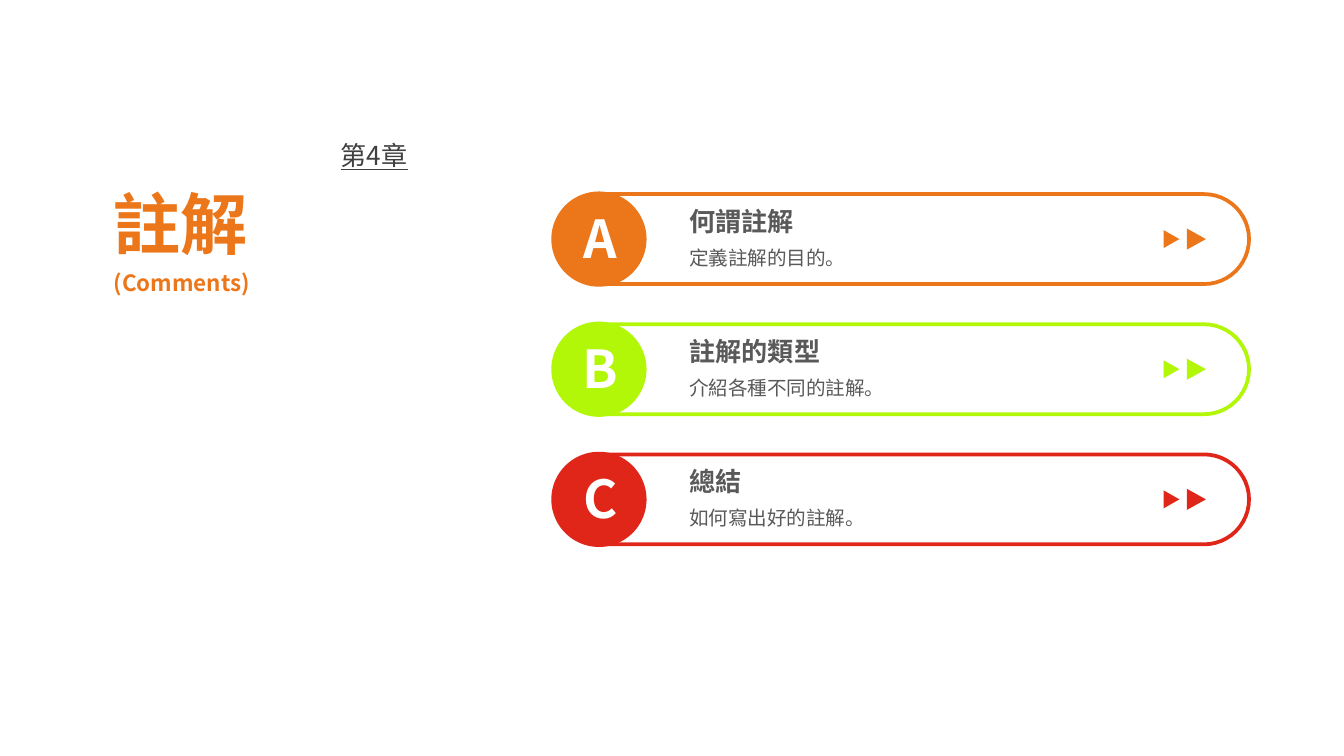
import dataclasses
import typing

import lxml.etree
import pptx
import pptx.dml.color
import pptx.enum.shapes
import pptx.enum.text
import pptx.oxml.ns
import pptx.util

Cm = pptx.util.Cm
Kind = pptx.enum.shapes.MSO_SHAPE
Align = pptx.enum.text.PP_ALIGN
Anchor = pptx.enum.text.MSO_ANCHOR
qn = pptx.oxml.ns.qn


@dataclasses.dataclass(frozen=True)
class Theme:
    font: str = "Noto Sans CJK SC"
    orange: str = "EC771B"
    lime: str = "B2F608"
    red: str = "DF2619"
    white: str = "FFFFFF"
    body: str = "595959"
    chapter: str = "404040"
    title_size: float = 36
    letter_size: float = 28
    heading_size: float = 14
    subtitle_size: float = 12
    detail_size: float = 10.5
    outline_width: float = 2


@dataclasses.dataclass(frozen=True)
class Frame:
    left: float
    top: float
    width: float
    height: float

    def lengths(self) -> tuple:
        return tuple(Cm(value) for value in dataclasses.astuple(self))


@dataclasses.dataclass(frozen=True)
class Section:
    letter: str
    heading: str
    detail: str
    color: str


THEME = Theme()
SECTIONS = (
    Section("A", "何謂註解", "定義註解的目的。", THEME.orange),
    Section("B", "註解的類型", "介紹各種不同的註解。", THEME.lime),
    Section("C", "總結", "如何寫出好的註解。", THEME.red),
)
FIRST_MIDDLE = 4.52
PITCH = 2.46
BADGE_CENTER = 11.32
BADGE_SIZE = 1.8


def rgb(value: str) -> pptx.dml.color.RGBColor:
    return pptx.dml.color.RGBColor.from_string(value)


def centered(x: float, y: float, width: float, height: float) -> Frame:
    return Frame(x - width / 2, y - height / 2, width, height)


def add_text(page: typing.Any, frame: Frame, text: str, size: float, color: str,
             bold: bool = False, underline: bool = False,
             align: typing.Any = Align.LEFT, anchor: typing.Any = Anchor.MIDDLE,
             wrap: bool = True) -> typing.Any:
    box = page.shapes.add_textbox(*frame.lengths())
    for name, value in {"word_wrap": wrap, "vertical_anchor": anchor}.items():
        setattr(box.text_frame, name, value)
    para = box.text_frame.paragraphs[0]
    para.alignment = align
    span = para.add_run()
    span.text = text
    formats = {"name": THEME.font, "size": pptx.util.Pt(size),
               "bold": bold, "underline": underline}
    for name, value in formats.items():
        setattr(span.font, name, value)
    span.font.color.rgb = rgb(color)
    east_asian = lxml.etree.SubElement(span.font._element, qn("a:ea"))
    east_asian.set("typeface", THEME.font)
    return para


def add_tab_stop(para: typing.Any, position: float) -> None:
    tabs = lxml.etree.SubElement(para._p.get_or_add_pPr(), qn("a:tabLst"))
    tab = lxml.etree.SubElement(tabs, qn("a:tab"))
    tab.set("pos", str(int(Cm(position))))
    tab.set("algn", "l")


def add_figure(page: typing.Any, kind: typing.Any, frame: Frame, fill: str,
               line: typing.Optional[str] = None, rotation: float = 0) -> typing.Any:
    figure = page.shapes.add_shape(kind, *frame.lengths())
    figure.shadow.inherit = False
    figure.rotation = rotation
    figure.fill.solid()
    figure.fill.fore_color.rgb = rgb(fill)
    if line:
        figure.line.color.rgb = rgb(line)
        figure.line.width = pptx.util.Pt(THEME.outline_width)
    else:
        figure.line.fill.background()
    return figure


def add_section(page: typing.Any, section: Section, middle: float) -> None:
    capsule = add_figure(page, Kind.ROUND_2_SAME_RECTANGLE,
                         centered(17.51, middle, 1.7, 12.19),
                         THEME.white, section.color, rotation=90)
    capsule.adjustments[0] = 0.5
    capsule.adjustments[1] = 0
    add_text(page, Frame(12.78, middle - 0.76, 7.82, 0.86), section.heading,
             THEME.heading_size, THEME.body, bold=True, anchor=Anchor.TOP)
    add_text(page, Frame(12.78, middle, 7.82, 0.71), section.detail,
             THEME.detail_size, THEME.body, anchor=Anchor.TOP)
    add_figure(page, Kind.OVAL,
               centered(BADGE_CENTER, middle, BADGE_SIZE, BADGE_SIZE), section.color)
    add_text(page, centered(BADGE_CENTER + 0.03, middle - 0.03, 1.2, 1.45),
             section.letter, THEME.letter_size, THEME.white, bold=True,
             align=Align.CENTER, wrap=False)
    for x, width, height in ((22.14, 0.34, 0.3), (22.61, 0.4, 0.36)):
        add_figure(page, Kind.ISOSCELES_TRIANGLE,
                   centered(x, middle, width, height), section.color, rotation=90)


def main() -> None:
    deck = pptx.Presentation()
    deck.slide_width, deck.slide_height = Cm(25.4), Cm(14.29)
    page = deck.slides.add_slide(deck.slide_layouts[6])
    for index, section in enumerate(SECTIONS):
        add_section(page, section, FIRST_MIDDLE + index * PITCH)
    add_text(page, Frame(1.9, 3.15, 7.01, 2.13), "註解",
             THEME.title_size, THEME.orange, bold=True)
    chapter = add_text(page, Frame(1.9, 2.13, 7.19, 1.6), "\t第4章",
                       THEME.heading_size, THEME.chapter, underline=True)
    add_tab_stop(chapter, 4.29)
    add_text(page, Frame(1.9, 4.95, 6.45, 0.79), "(Comments)",
             THEME.subtitle_size, THEME.orange, bold=True)
    deck.save("out.pptx")


if __name__ == "__main__":
    main()
